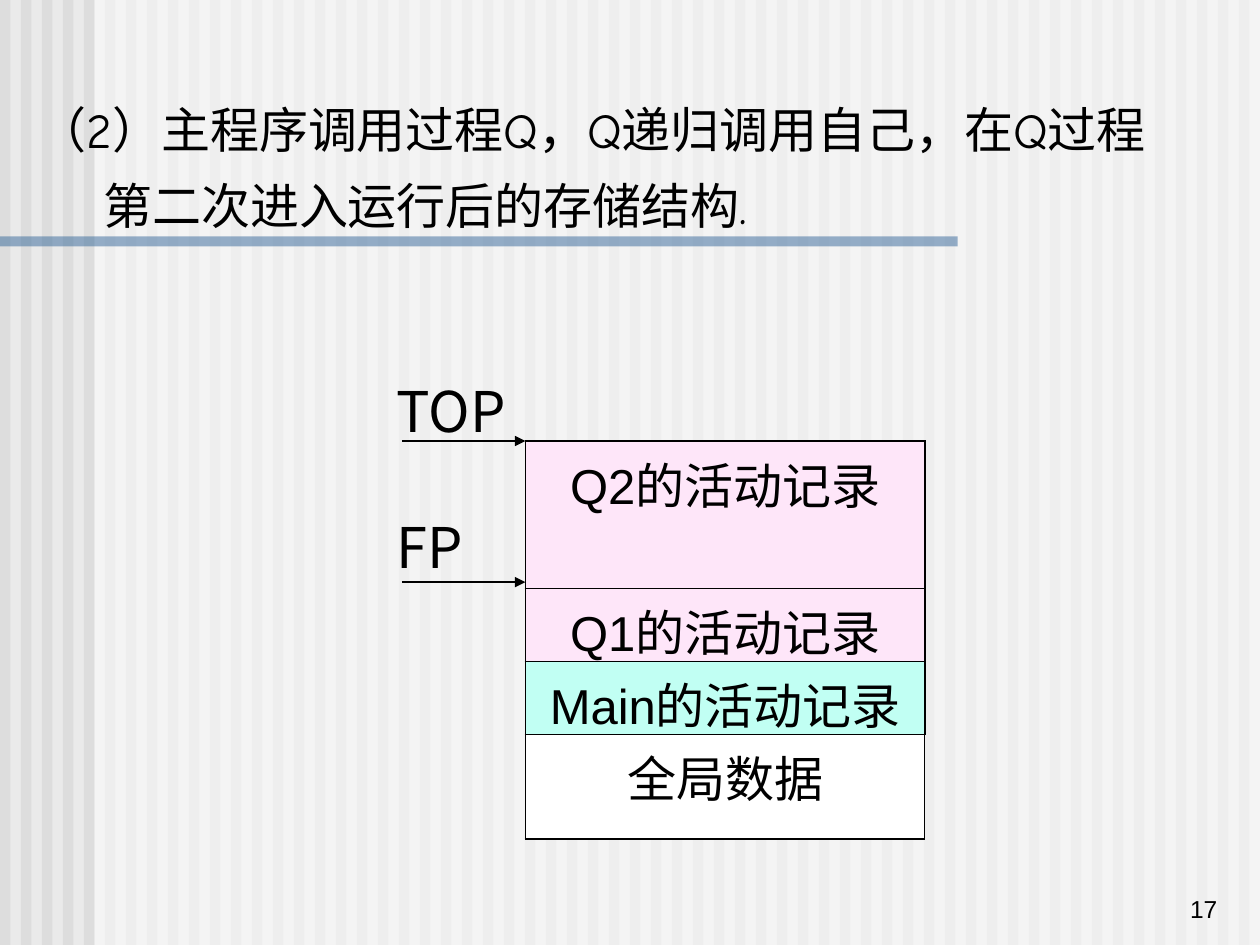
"""Slide showing the run-time stack after a recursive call of procedure Q."""
from dataclasses import dataclass
from lxml import etree
from pptx import Presentation
from pptx.dml.color import RGBColor
from pptx.enum.shapes import MSO_CONNECTOR, MSO_SHAPE
from pptx.enum.text import MSO_ANCHOR, MSO_AUTO_SIZE, PP_ALIGN
from pptx.oxml.ns import qn
from pptx.util import Inches, Pt

RECT, STRAIGHT = MSO_SHAPE.RECTANGLE, MSO_CONNECTOR.STRAIGHT
TOP, BOTTOM, NO_FIT = MSO_ANCHOR.TOP, MSO_ANCHOR.BOTTOM, MSO_AUTO_SIZE.NONE
LEFT, CENTER, RIGHT = PP_ALIGN.LEFT, PP_ALIGN.CENTER, PP_ALIGN.RIGHT


@dataclass(frozen=True)
class Theme:
    ground: str = "EAEAEA"
    stripe: str = "DDDDDD"
    veil: str = "FFFFFF"
    bar: str = "336699"
    ink: str = "000000"
    pink: str = "FEE6F9"
    mint: str = "C1FFF3"
    white: str = "FFFFFF"
    title_font: str = "Comic Neue"
    cell_font: str = "Arial"
    label_font: str = "Noto Sans CJK SC"
    body: int = 28
    label: int = 32
    number: int = 14
    thin: float = 0.45
    thick: float = 1.08
    arrow: float = 0.75


T = Theme()
W, H = 10, 7.5
HEADING = [("（2）主程序调用过程Q，Q递归调用自己，在Q过程", 0.38, -0.38),
           ("第二次进入运行后的存储结构.", 0.52, 0)]
RECORDS = [("Q2的活动记录", T.pink, 1.17), ("Q1的活动记录", T.pink, 0.58),
           ("Main的活动记录", T.mint, 0.58), ("全局数据", T.white, 0.83)]
POINTERS = [("TOP", 2.94, 3.5), ("FP", 4.02, 4.62)]
PAGE = "17"
STRIPES = 60
STACK_X, STACK_Y, STACK_W = 4.17, 3.5, 3.17
POINTER_X, LABEL_X = 3.19, 3.05


def rgb(value):
    return RGBColor.from_string(value)


def style(p, font, size, align=LEFT):
    p.alignment = align
    p.font.name, p.font.size = font, Pt(size)
    p.font.color.rgb = rgb(T.ink)


def add_rect(shapes, x, y, w, h, color, alpha=None):
    sp = shapes.add_shape(RECT, Inches(x), Inches(y), Inches(w), Inches(h))
    sp.shadow.inherit = False
    sp.fill.solid()
    sp.fill.fore_color.rgb = rgb(color)
    sp.line.fill.background()
    if alpha:
        clr = sp.fill._xPr.find(".//" + qn("a:srgbClr"))
        etree.SubElement(clr, qn("a:alpha"), val=str(alpha * 1000))


def add_backdrop(s):
    s.background.fill.solid()
    s.background.fill.fore_color.rgb = rgb(T.ground)
    group = s.shapes.add_group_shape()
    pitch = W / STRIPES
    for i in range(STRIPES):
        add_rect(group.shapes, i * pitch, 0, pitch / 2, H, T.stripe)
    add_rect(group.shapes, 0.75, 0, W - 0.75, H, T.veil, 50)
    add_rect(group.shapes, 0, H / 4, 7.6, 0.08, T.bar, 50)
    s.shapes._spTree.insert(2, group._element)


def add_heading(s):
    sp = s.shapes.title
    sp.left, sp.top, sp.width, sp.height = map(Inches, (0.2, 0.6, 9.5, 1.92))
    tf = sp.text_frame
    tf.word_wrap, tf.auto_size, tf.vertical_anchor = True, NO_FIT, TOP
    tf.text = "\n".join(text for text, _, _ in HEADING)
    for p, (_, margin, indent) in zip(tf.paragraphs, HEADING):
        pPr = p._p.get_or_add_pPr()
        pPr.set("marL", str(Inches(margin)))
        pPr.set("indent", str(Inches(indent)))
        p.line_spacing, p.space_before = 1.3, Pt(0)
        style(p, T.title_font, T.body)


def add_text(s, text, box, font, size, align=LEFT, anchor=TOP):
    tf = s.shapes.add_textbox(*map(Inches, box)).text_frame
    tf.word_wrap, tf.vertical_anchor = True, anchor
    tf.text = text
    style(tf.paragraphs[0], font, size, align)


def make_border(side, width):
    ln = etree.Element(qn("a:" + side), w=str(Pt(width)))
    fill = etree.SubElement(ln, qn("a:solidFill"))
    etree.SubElement(fill, qn("a:srgbClr"), val=T.ink)
    return ln


def add_stack(s):
    heights = [h for _, _, h in RECORDS]
    table = s.shapes.add_table(len(RECORDS), 1, Inches(STACK_X), Inches(STACK_Y),
                               Inches(STACK_W), Inches(sum(heights))).table
    table.first_row = table.horz_banding = False
    last = len(RECORDS) - 1
    for i, (text, color, height) in enumerate(RECORDS):
        table.rows[i].height = Inches(height)
        cell = table.cell(i, 0)
        cell.text = text
        cell.margin_top, cell.margin_bottom = Inches(0.05), 0
        style(cell.text_frame.paragraphs[0], T.cell_font, T.body, CENTER)
        cell.fill.solid()
        cell.fill.fore_color.rgb = rgb(color)
        widths = {"lnL": T.thick, "lnR": T.thin if i == last else T.thick,
                  "lnT": T.thin if i else T.thick,
                  "lnB": T.thick if i == last else T.thin}
        tcPr = cell._tc.get_or_add_tcPr()
        for n, (side, width) in enumerate(widths.items()):
            tcPr.insert(n, make_border(side, width))


def add_pointer(s, text, label_y, y):
    line = s.shapes.add_connector(STRAIGHT, Inches(POINTER_X), Inches(y),
                                  Inches(STACK_X), Inches(y))
    line.line.color.rgb = rgb(T.ink)
    line.line.width = Pt(T.arrow)
    etree.SubElement(line.line._get_or_add_ln(), qn("a:tailEnd"), type="triangle")
    etree.SubElement(line._element.spPr, qn("a:effectLst"))
    add_text(s, text, (LABEL_X, label_y, 1.26, 0.64), T.label_font, T.label)


def main():
    prs = Presentation()
    prs.slide_width, prs.slide_height = Inches(W), Inches(H)
    s = prs.slides.add_slide(prs.slide_layouts[5])
    add_backdrop(s)
    add_heading(s)
    add_text(s, PAGE, (7.68, 6.88, 2.08, 0.5), T.cell_font, T.number, RIGHT, BOTTOM)
    add_stack(s)
    for pointer in POINTERS:
        add_pointer(s, *pointer)
    prs.save("out.pptx")


if __name__ == "__main__":
    main()
